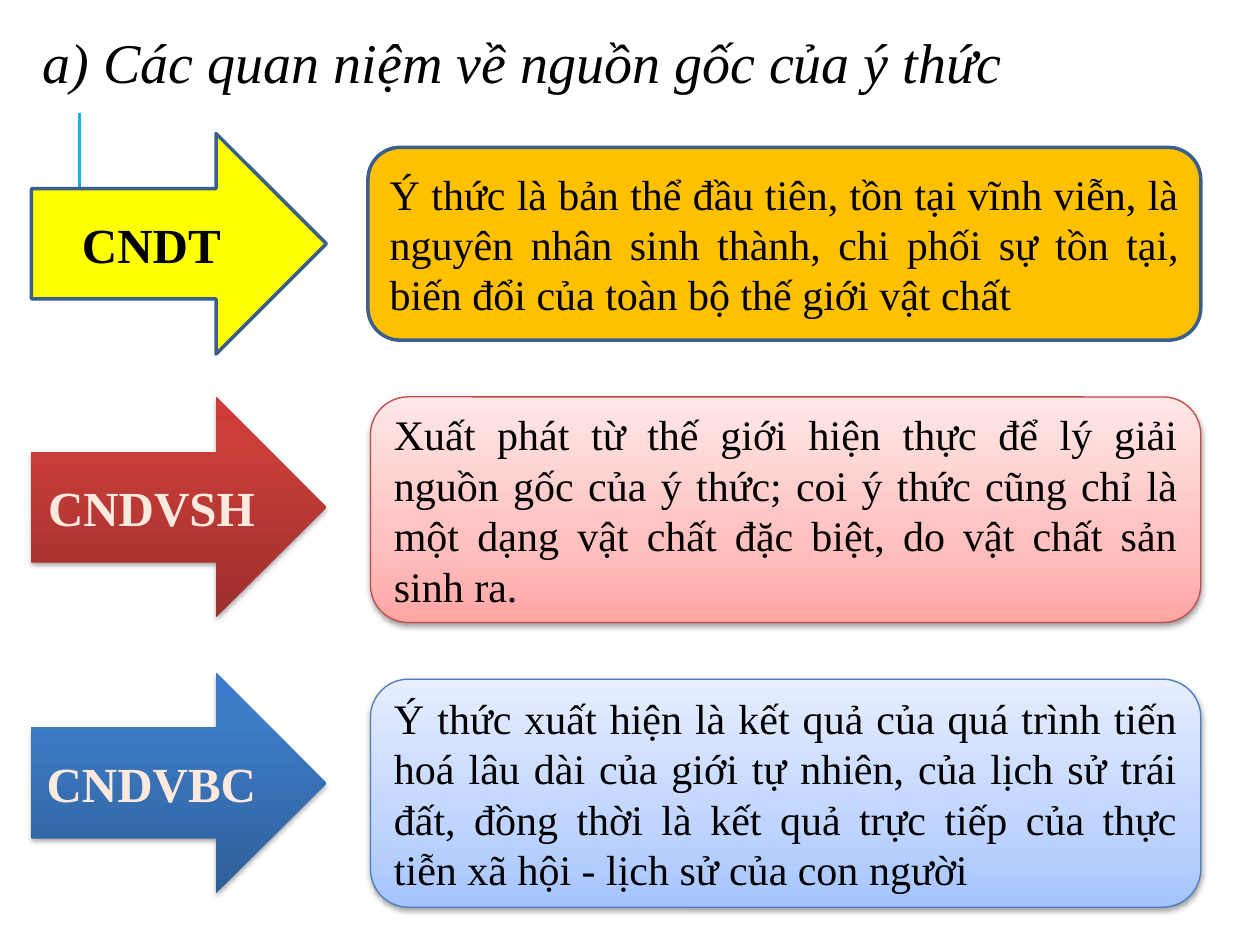
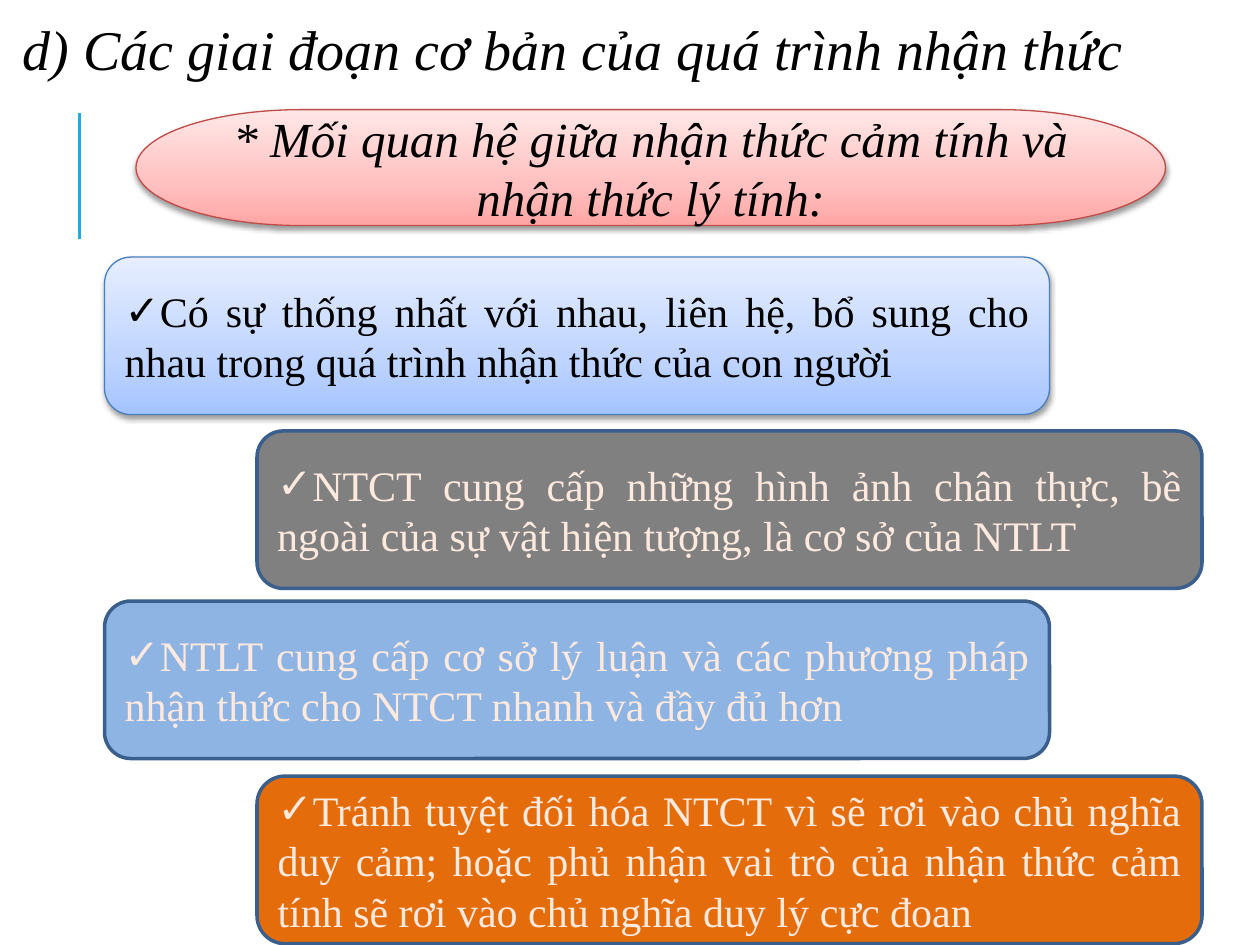
import pptx
import pptx.util
import pptx.dml.color
import pptx.enum.shapes
import pptx.enum.text
import pptx.oxml
import pptx.oxml.ns
import lxml.etree

Inches, Pt = pptx.util.Inches, pptx.util.Pt
SHAPES = pptx.enum.shapes.MSO_SHAPE
ALIGN = pptx.enum.text.PP_ALIGN
qn = pptx.oxml.ns.qn

# Content
ORIGINS_TITLE = "a) Các quan niệm về nguồn gốc của ý thức"
# label, arrow style, text, card style, arrow top, card (left, top, width, height)
ORIGINS = [
    ("CNDT", "yellow",
     "Ý thức là bản thể đầu tiên, tồn tại vĩnh viễn, là nguyên nhân sinh thành, "
     "chi phối sự tồn tại, biến đổi của toàn bộ thế giới vật chất",
     "amber", 1.06, (2.92, 1.17, 6.61, 1.53)),
    ("CNDVSH", "red",
     "Xuất phát từ thế giới hiện thực để lý giải nguồn gốc của ý thức; coi ý thức "
     "cũng chỉ là một dạng vật chất đặc biệt, do vật chất sản sinh ra.",
     "pink", 3.15, (2.94, 3.15, 6.59, 1.79)),
    ("CNDVBC", "blue",
     "Ý thức xuất hiện là kết quả của quá trình tiến hoá lâu dài của giới tự nhiên, "
     "của lịch sử trái đất, đồng thời là kết quả trực tiếp của thực tiễn xã hội - "
     "lịch sử của con người",
     "sky", 5.34, (2.94, 5.39, 6.59, 1.81)),
]
STAGES_TITLE = "d) Các giai đoạn cơ bản của quá trình nhận thức"
STAGES_HEADING = "* Mối quan hệ giữa nhận thức cảm tính và nhận thức lý tính:"
# text, style, top, height
STAGES = [
    ("Có sự thống nhất với nhau, liên hệ, bổ sung cho nhau trong quá trình nhận thức "
     "của con người", "sky", 2.04, 1.25),
    ("NTCT cung cấp những hình ảnh chân thực, bề ngoài của sự vật hiện tượng, "
     "là cơ sở của NTLT", "gray", 3.42, 1.25),
    ("NTLT cung cấp cơ sở lý luận và các phương pháp nhận thức cho NTCT nhanh "
     "và đầy đủ hơn", "steel", 4.77, 1.25),
    ("Tránh tuyệt đối hóa NTCT vì sẽ rơi vào chủ nghĩa duy cảm; hoặc phủ nhận vai trò "
     "của nhận thức cảm tính sẽ rơi vào chủ nghĩa duy lý cực đoan", "orange", 6.16, 1.33),
]
STAGE_LEFTS, STAGE_WIDTH = (0.83, 2.04), 7.5

# Look
FONT = "Times New Roman"
COLORS = {"text": "000000", "pale": "FEE9DE", "border": "3A5F8C", "rule": "1CADE4"}
# fills: one colour, or gradient stops from bottom to top
FILLS = {
    "yellow": "FFFF00", "amber": "FFC000", "gray": "808080",
    "steel": "8EB4E3", "orange": "E46C0A",
    "red": [(0, "9C2F2D"), (80, "CB3E3A"), (100, "CE3B37")],
    "blue": [(0, "2F5F99"), (80, "3D7CC7"), (100, "3A7CCB")],
    "pink": [(0, "FFA6A5"), (35, "FFC0BF"), (100, "FFE7E7")],
    "sky": [(0, "A4C4FF"), (35, "BFD4FF"), (100, "E6EEFF")],
}
THIN_LINES = {"pink": "BF4C48", "sky": "4B7EBC"}
PALE_TEXT = {"red", "blue", "gray", "steel", "orange"}


def rgb(value):
    return pptx.dml.color.RGBColor.from_string(value)


def add_color_stop(parent, tag, value, **attributes):
    node = lxml.etree.SubElement(parent, qn(tag), attributes)
    return lxml.etree.SubElement(node, qn("a:srgbClr"), val=value)


def paint_gradient(box, stops):
    box.fill.gradient()
    box.fill.gradient_angle = 90
    stop_list = next(box._element.spPr.iter(qn("a:gsLst")))
    stop_list.clear()
    for share, value in stops:
        add_color_stop(stop_list, "a:gs", value, pos=str(share * 1000))


def add_soft_shadow(box, distance, opacity):
    effects = box._element.spPr.find(qn("a:effectLst"))
    color = add_color_stop(effects, "a:outerShdw", "000000", blurRad=str(Pt(3.1)),
                           dist=str(Pt(distance)), dir="5400000", rotWithShape="0")
    lxml.etree.SubElement(color, qn("a:alpha"), val=str(opacity * 1000))


def write(para, text, size, color, bold=False, italic=False):
    span = para.add_run()
    span.text = text
    span.font.name, span.font.size = FONT, Pt(size)
    span.font.bold, span.font.italic = bold, italic
    span.font.color.rgb = rgb(color)


def add_block(page, kind, place, style, text, size=24, align=ALIGN.JUSTIFY,
              check=False, **emphasis):
    box = page.shapes.add_shape(kind, *map(Inches, place))
    box.shadow.inherit = False
    fill = FILLS[style]
    if isinstance(fill, str):
        box.fill.solid()
        box.fill.fore_color.rgb = rgb(fill)
        box.line.color.rgb, box.line.width = rgb(COLORS["border"]), Pt(2)
    else:
        paint_gradient(box, fill)
        if style in THIN_LINES:
            box.line.color.rgb, box.line.width = rgb(THIN_LINES[style]), Pt(0.75)
            add_soft_shadow(box, 1.6, 38)
        else:
            box.line.fill.background()
            add_soft_shadow(box, 1.8, 35)
    frame = box.text_frame
    frame.word_wrap = True
    frame.vertical_anchor = pptx.enum.text.MSO_ANCHOR.MIDDLE
    para = frame.paragraphs[0]
    para.alignment = align
    if check:
        properties = para._p.get_or_add_pPr()
        lxml.etree.SubElement(properties, qn("a:buFont"), typeface="Arial")
        lxml.etree.SubElement(properties, qn("a:buChar"), char="✓")
    write(para, text, size, COLORS["pale" if style in PALE_TEXT else "text"], **emphasis)


def add_page(deck, title, place):
    page = deck.slides.add_slide(deck.slide_layouts[5])
    # Title
    box = page.shapes.title
    box.left, box.top, box.width, box.height = map(Inches, place)
    frame = box.text_frame
    frame.word_wrap = True
    frame.auto_size = pptx.enum.text.MSO_AUTO_SIZE.NONE
    frame.vertical_anchor = pptx.enum.text.MSO_ANCHOR.MIDDLE
    para = frame.paragraphs[0]
    para.alignment, para.line_spacing = ALIGN.LEFT, 0.9
    write(para, title, 32, COLORS["text"], italic=True)
    # Vertical rule under the title
    rule = page.shapes.add_connector(pptx.enum.shapes.MSO_CONNECTOR.STRAIGHT,
                                     *map(Inches, (0.63, 1.9, 0.63, 0.9)))
    rule.line.color.rgb, rule.line.width = rgb(COLORS["rule"]), Pt(1.5)
    lxml.etree.SubElement(rule._element.spPr, qn("a:effectLst"))
    return page


def main():
    deck = pptx.Presentation()
    deck.slide_width, deck.slide_height = Inches(10), Inches(7.5)

    # Views on the origin of consciousness: arrow and card per row
    page = add_page(deck, ORIGINS_TITLE, (0.24, 0.14, 9.67, 0.75))
    for label, arrow_style, text, card_style, arrow_top, card in ORIGINS:
        add_block(page, SHAPES.RIGHT_ARROW, (0.25, arrow_top, 2.34, 1.75), arrow_style,
                  label, size=28, align=ALIGN.CENTER, bold=True)
        add_block(page, SHAPES.ROUNDED_RECTANGLE, card, card_style, text)

    # Stages of cognition: heading, then cards alternating left and right
    page = add_page(deck, STAGES_TITLE, (0.08, 0, 9.92, 0.83))
    add_block(page, SHAPES.FLOWCHART_TERMINATOR, (1.08, 0.87, 8.17, 0.92), "pink",
              STAGES_HEADING, size=28, align=ALIGN.CENTER, italic=True)
    for index, (text, style, top, height) in enumerate(STAGES):
        add_block(page, SHAPES.ROUNDED_RECTANGLE,
                  (STAGE_LEFTS[index % 2], top, STAGE_WIDTH, height), style, text, check=True)

    deck.save("out.pptx")


if __name__ == "__main__":
    main()
